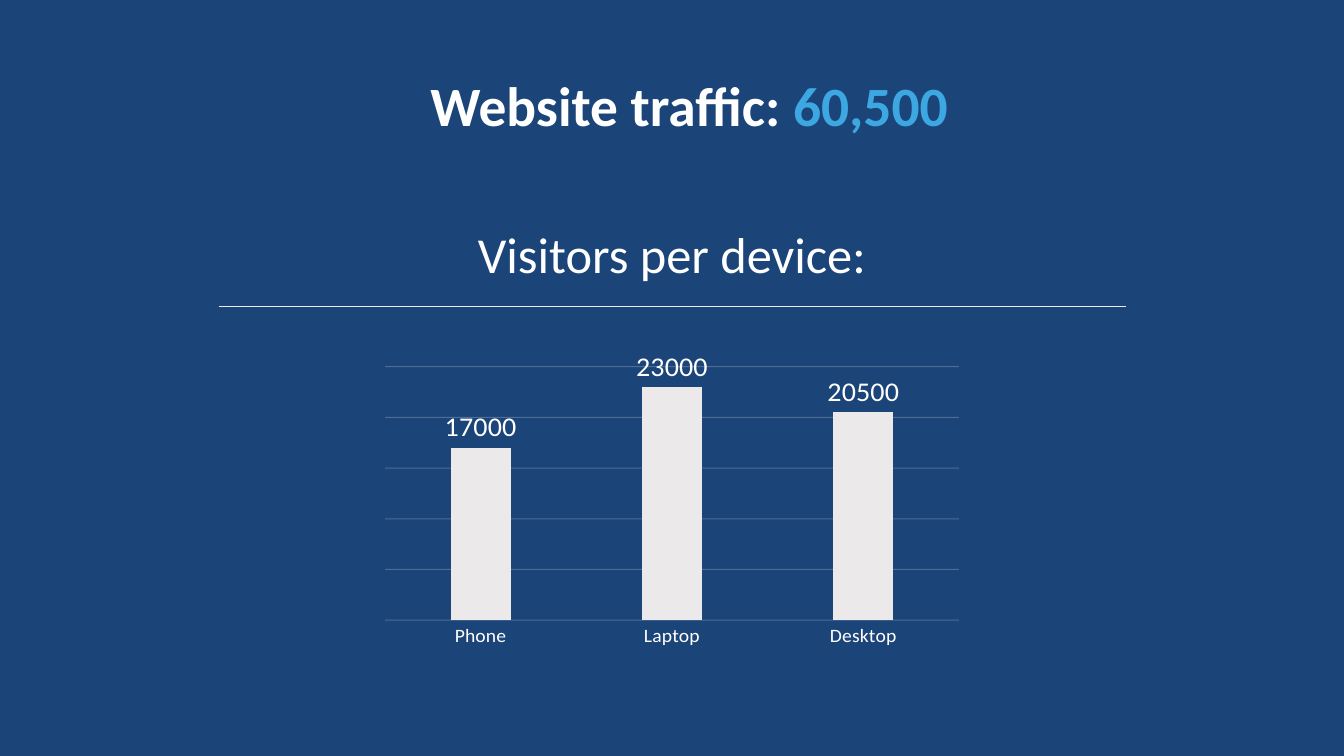
from lxml import etree
from pptx import Presentation
from pptx.chart.data import CategoryChartData
from pptx.dml.color import RGBColor
from pptx.enum.chart import XL_CHART_TYPE, XL_LABEL_POSITION, XL_TICK_MARK
from pptx.enum.shapes import MSO_CONNECTOR
from pptx.enum.text import MSO_ANCHOR, PP_ALIGN
from pptx.oxml.ns import qn
from pptx.util import Inches, Pt

COLUMNS = XL_CHART_TYPE.COLUMN_CLUSTERED
OUTSIDE_END = XL_LABEL_POSITION.OUTSIDE_END
NO_TICK = XL_TICK_MARK.NONE
STRAIGHT = MSO_CONNECTOR.STRAIGHT
MIDDLE, TOP = MSO_ANCHOR.MIDDLE, MSO_ANCHOR.TOP
CENTER = PP_ALIGN.CENTER

# Content
TITLE = [("Website traffic: ", "white"), ("60,500", "accent")]
SUBTITLE = [("Visitors per device:", "white")]
VISITORS = {"Phone": 17000, "Laptop": 23000, "Desktop": 20500}

# Theme and layout
THEME = {
    "font": "Calibri",
    "colors": {"background": "1B4479", "white": "FFFFFF",
               "accent": "3CA7E0", "light": "EBE9E9"},
    "sizes": {"title": 39.6, "subtitle": 36, "value": 20, "category": 14},
}
TITLE_BOX = (0.96, 0.89, 11.75, 0.38)
SUBTITLE_BOX = (3.21, 2.16, 6.91, 0.71)
CHART_BOX = (3.7, 3.47, 5.93, 3.01)
RULE = (2.17, 3.04, 11.17, 3.04)
AXIS = {"minimum_scale": 0, "maximum_scale": 25000, "major_unit": 5000,
        "has_major_gridlines": True, "visible": False}
GRID_ALPHA = 22


def color(name):
    return RGBColor.from_string(THEME["colors"][name])


def inches(values):
    return [Inches(v) for v in values]


def set_attrs(target, values):
    for name, value in values.items():
        setattr(target, name, value)


def style_font(font, size, color_name, bold=False):
    set_attrs(font, {"name": THEME["font"], "bold": bold,
                     "size": Pt(THEME["sizes"][size])})
    font.color.rgb = color(color_name)


def add_text(slide, box, runs, size, bold=False, frame=None, spacing=None):
    tf = slide.shapes.add_textbox(*inches(box)).text_frame
    set_attrs(tf, {"word_wrap": True, **(frame or {})})
    p = tf.paragraphs[0]
    set_attrs(p, {"alignment": CENTER, "line_spacing": spacing})
    for text, color_name in runs:
        r = p.add_run()
        r.text = text
        style_font(r.font, size, color_name, bold)


def add_visitor_chart(slide):
    data = CategoryChartData()
    data.categories = list(VISITORS)
    data.add_series("Series 1", list(VISITORS.values()))
    chart = slide.shapes.add_chart(COLUMNS, *inches(CHART_BOX), data).chart
    set_attrs(chart, {"has_legend": False, "has_title": False})
    style_font(chart.font, "category", "white")

    # Columns and their values
    plot = chart.plots[0]
    set_attrs(plot, {"gap_width": 219, "overlap": -27,
                     "vary_by_categories": False})
    series = plot.series[0]
    series.format.fill.solid()
    series.format.fill.fore_color.rgb = color("light")
    labels = series.data_labels
    set_attrs(labels, {"show_value": True, "position": OUTSIDE_END})
    style_font(labels.font, "value", "white")

    # Axes and faint gridlines
    categories = chart.category_axis
    set_attrs(categories, {"major_tick_mark": NO_TICK,
                           "minor_tick_mark": NO_TICK})
    categories.format.line.fill.background()
    style_font(categories.tick_labels.font, "category", "white")
    set_attrs(chart.value_axis, AXIS)
    grid = chart.value_axis.major_gridlines.format.line
    grid.width = Pt(0.75)
    grid.color.rgb = color("white")
    for clr in chart.value_axis.major_gridlines._xAx.iter(qn("a:srgbClr")):
        etree.SubElement(clr, qn("a:alpha"), val=str(GRID_ALPHA * 1000))


def add_rule(slide):
    line = slide.shapes.add_connector(STRAIGHT, *inches(RULE))
    line.line.width = Pt(0.5)
    line.line.color.rgb = color("light")
    etree.SubElement(line._element.spPr, qn("a:effectLst"))


def main():
    prs = Presentation()
    set_attrs(prs, {"slide_width": Inches(13.33), "slide_height": Inches(7.5)})
    slide = prs.slides.add_slide(prs.slide_layouts[6])
    slide.background.fill.solid()
    slide.background.fill.fore_color.rgb = color("background")

    # Heading, chart, subheading and rule
    margins = dict.fromkeys(
        ("margin_left", "margin_top", "margin_right", "margin_bottom"), 0)
    add_text(slide, TITLE_BOX, TITLE, "title", bold=True, spacing=0.9,
             frame={"vertical_anchor": MIDDLE, **margins})
    add_visitor_chart(slide)
    add_text(slide, SUBTITLE_BOX, SUBTITLE, "subtitle",
             frame={"vertical_anchor": TOP})
    add_rule(slide)
    prs.save("out.pptx")


if __name__ == "__main__":
    main()
